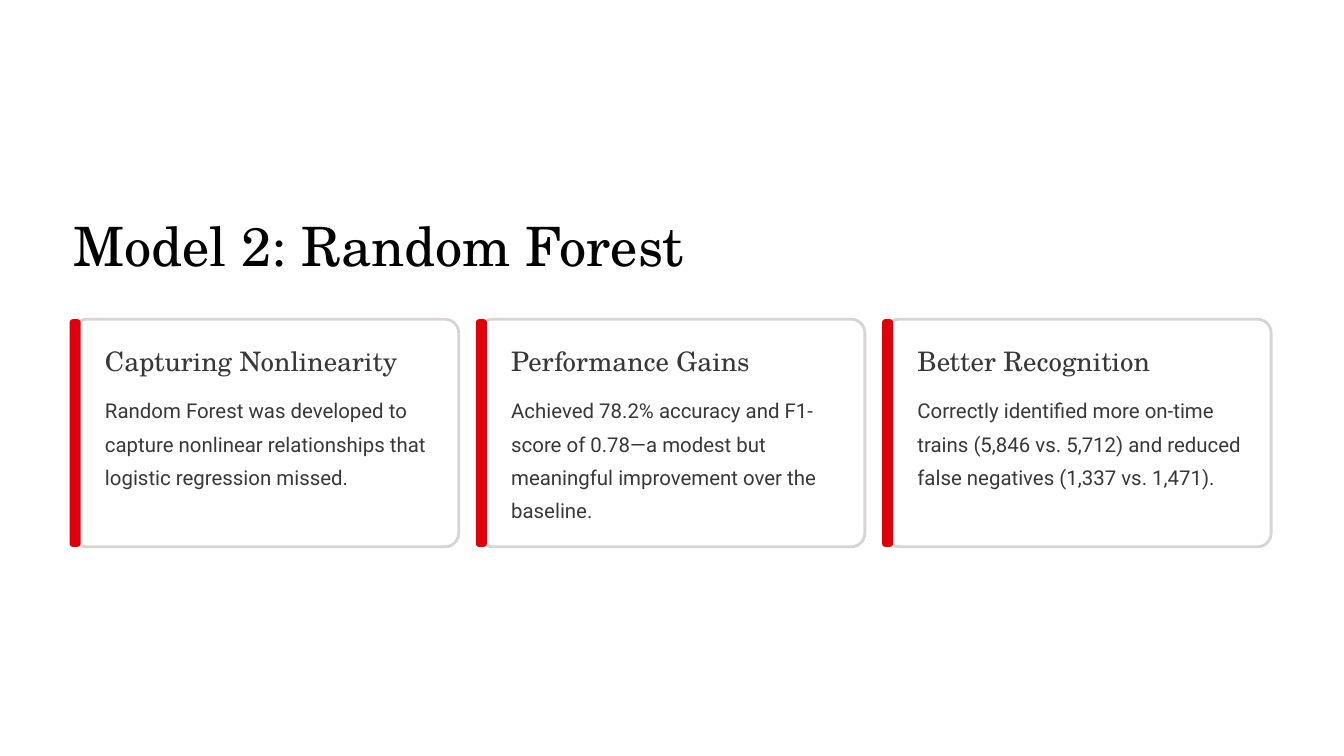
"""Build a slide with a title and a row of three accented cards."""
from dataclasses import dataclass

from pptx import Presentation
from pptx import util as u
from pptx.dml.color import RGBColor
from pptx.enum import shapes, text

SERIF = "TeX Gyre Schola"
SANS = "Roboto"
BLACK, GREY, EDGE, RED, WHITE = "020202", "383838", "D8D4D4", "E0000B", "FFFFFF"
LEFT, TOP, PITCH = 0.87, 3.8, 4.836
WIDTH, HEIGHT = 4.59, 2.71


@dataclass
class Style:
    font: str
    size: float
    lead: float
    color: str
    wrap: bool


@dataclass
class Card:
    head: str
    body: str


TITLE = Style(SERIF, 46.5, 58.5, BLACK, False)
HEAD = Style(SERIF, 23, 29, GREY, False)
BODY = Style(SANS, 17.5, 28.5, GREY, True)

CARDS = [
    Card("Capturing Nonlinearity",
         "Random Forest was developed to capture nonlinear relationships "
         "that logistic regression missed."),
    Card("Performance Gains",
         "Achieved 78.2% accuracy and F1-score of 0.78—a modest but "
         "meaningful improvement over the baseline."),
    Card("Better Recognition",
         "Correctly identified more on-time trains (5,846 vs. 5,712) and "
         "reduced false negatives (1,337 vs. 1,471)."),
]


def tint(code: str) -> RGBColor:
    return RGBColor.from_string(code)


def write(shape, words: str, style: Style) -> None:
    frame = shape.text_frame
    frame.text = words
    frame.word_wrap = style.wrap
    frame.auto_size = text.MSO_AUTO_SIZE.NONE
    frame.vertical_anchor = text.MSO_ANCHOR.TOP
    frame.margin_left = frame.margin_right = 0
    frame.margin_top = frame.margin_bottom = 0
    line = frame.paragraphs[0]
    line.alignment = text.PP_ALIGN.LEFT
    line.line_spacing = u.Pt(style.lead)
    font = line.runs[0].font
    font.name = style.font
    font.size = u.Pt(style.size)
    font.color.rgb = tint(style.color)


def add_text(slide, x: float, y: float, w: float, h: float,
             words: str, style: Style) -> None:
    box = slide.shapes.add_textbox(*map(u.Inches, (x, y, w, h)))
    write(box, words, style)


def add_round(slide, x: float, w: float, bend: float, fill: str):
    shape = slide.shapes.add_shape(
        shapes.MSO_SHAPE.ROUNDED_RECTANGLE,
        *map(u.Inches, (x, TOP, w, HEIGHT)))
    shape.adjustments[0] = bend
    shape.shadow.inherit = False
    shape.fill.solid()
    shape.fill.fore_color.rgb = tint(fill)
    shape.line.fill.background()
    return shape


def add_card(slide, x: float, card: Card) -> None:
    panel = add_round(slide, x, WIDTH, 0.06, WHITE)
    panel.line.color.rgb = tint(EDGE)
    panel.line.width = u.Pt(2.4)
    add_round(slide, x - 0.04, 0.13, 0.28, RED)
    add_text(slide, x + 0.38, TOP + 0.28, 3.36, 0.41, card.head, HEAD)
    add_text(slide, x + 0.38, TOP + 0.84, 3.93, 1.59, card.body, BODY)


def main() -> None:
    deck = Presentation()
    deck.slide_width, deck.slide_height = u.Inches(16), u.Inches(9)
    slide = deck.slides.add_slide(deck.slide_layouts[5])
    slide.background.fill.solid()
    slide.background.fill.fore_color.rgb = tint(WHITE)
    title = slide.shapes.title
    title.left, title.top = u.Inches(LEFT), u.Inches(2.49)
    title.width, title.height = u.Inches(7.4), u.Inches(0.81)
    write(title, "Model 2: Random Forest", TITLE)
    for i, card in enumerate(CARDS):
        add_card(slide, LEFT + i * PITCH, card)
    deck.save("out.pptx")


if __name__ == "__main__":
    main()
